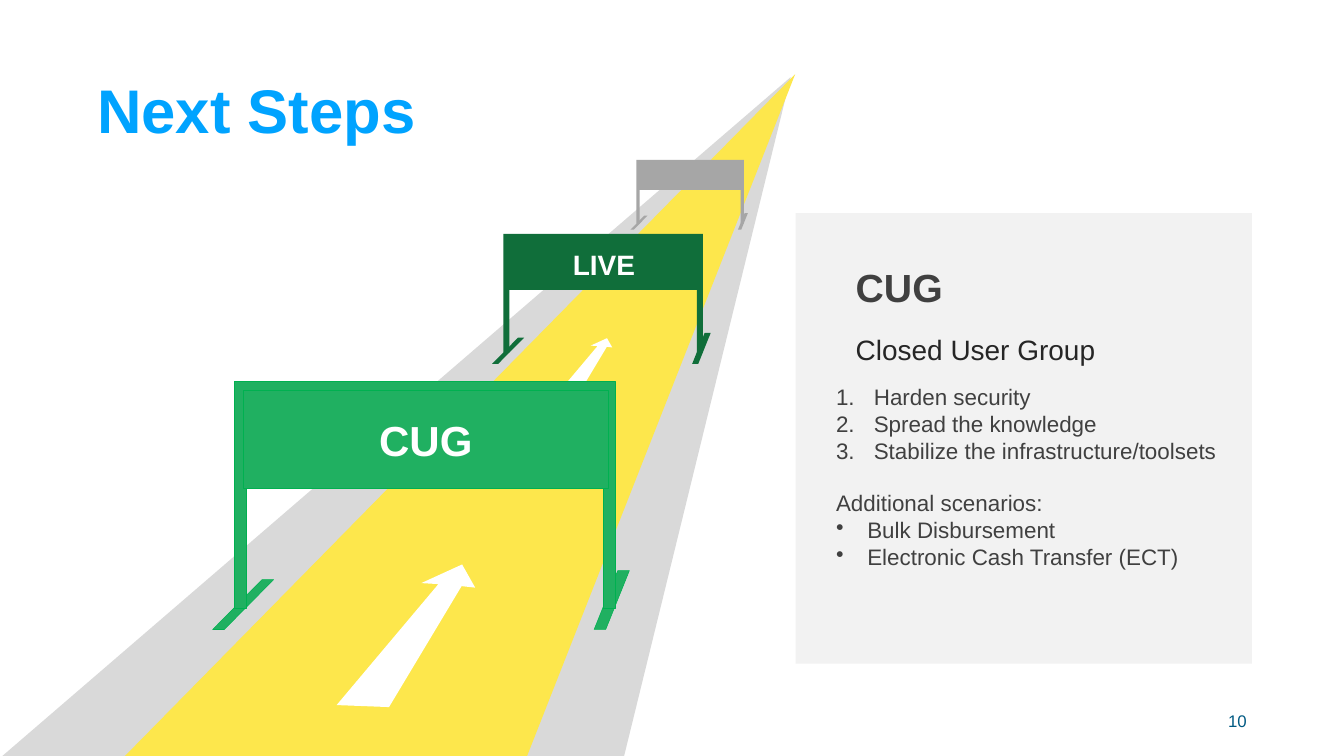
from lxml import etree
from pptx import Presentation
from pptx.dml.color import RGBColor
from pptx.enum.shapes import MSO_SHAPE
from pptx.enum.text import MSO_ANCHOR, PP_ALIGN
from pptx.oxml.ns import qn
from pptx.util import Inches, Pt

RECT = MSO_SHAPE.RECTANGLE
MIDDLE, TOP = MSO_ANCHOR.MIDDLE, MSO_ANCHOR.TOP
LEFT, CENTER, RIGHT = PP_ALIGN.LEFT, PP_ALIGN.CENTER, PP_ALIGN.RIGHT

FONT = "Arial"
COLORS = {
    "title": "00A3FF", "number": "005A83", "white": "FFFFFF",
    "verge": "D9D9D9", "road": "FDE74C", "panel": "F2F2F2",
    "near": "20B061", "edge": "00B050", "mid": "106E3A", "far": "A6A6A6",
    "body": "404040", "dark": "262626",
}

# Outlines in inches, relative to the top left of their box
ARROW = [(0, 2.79), (2.02, 0.39), (1.68, 0.37), (2.49, 0),
         (2.75, 0.46), (2.48, 0.43), (1.04, 2.83)]
GATE = 7.55  # width at which the gate outlines are given
FEET = [
    [(7.61, 3.75), (7.84, 3.75), (7.37, 4.92), (7.14, 4.92)],
    [(0.55, 3.93), (0.78, 3.93), (-0.2, 4.92), (-0.43, 4.92)],
]
FRAME = [(0, 0), (7.55, 0), (7.55, 4.49), (7.32, 4.49), (7.32, 0.23),
         (0.23, 0.23), (0.23, 4.49), (0, 4.49)]


def rgb(name):
    return RGBColor.from_string(COLORS[name])


def paint(shape, fill, edge=None):
    shape.shadow.inherit = False
    shape.fill.solid()
    shape.fill.fore_color.rgb = rgb(fill)
    if edge:
        shape.line.color.rgb = rgb(edge)
        shape.line.width = Pt(0)
    else:
        shape.line.fill.background()


def outline(slide, points, fill, edge=None, left=0, top=0, scale=1):
    spots = [(Inches(left + x * scale), Inches(top + y * scale))
             for x, y in points]
    pen = slide.shapes.build_freeform(*spots[0], scale=1.0)
    pen.add_line_segments(spots[1:], close=True)
    paint(pen.convert_to_shape(), fill, edge)


def block(slide, left, top, width, height, fill, edge=None):
    shape = slide.shapes.add_shape(
        RECT, Inches(left), Inches(top), Inches(width), Inches(height))
    paint(shape, fill, edge)
    return shape


def write(para, text, size, color, bold=False, align=LEFT):
    para.alignment = align
    run = para.add_run()
    run.text = text
    font = run.font
    font.name, font.size, font.bold = FONT, Pt(size), bold
    font.color.rgb = rgb(color)


def text_box(slide, left, top, width, height, anchor=TOP, side=0):
    box = slide.shapes.add_textbox(
        Inches(left), Inches(top), Inches(width), Inches(height))
    frame = box.text_frame
    frame.word_wrap = True
    frame.vertical_anchor = anchor
    frame.margin_left = frame.margin_right = Inches(side)
    return frame


def mark(para, tag, key, value, indent):
    props = para._p.get_or_add_pPr()
    props.set("marL", str(Inches(indent)))
    props.set("indent", str(-Inches(indent)))
    etree.SubElement(props, qn(tag)).set(key, value)


def add_title(slide, left, top, width, height):
    title = slide.shapes.title
    title.left, title.top = Inches(left), Inches(top)
    title.width, title.height = Inches(width), Inches(height)
    title.text_frame.vertical_anchor = MIDDLE
    para = title.text_frame.paragraphs[0]
    para.line_spacing = 0.9
    write(para, "Next Steps", 88, "title", True)


def add_road(slide, left, top):
    outline(slide, [(0, 13.57), (15.69, 0.06), (12.38, 13.55)],
            "verge", left=left, top=top)
    outline(slide, [(15.78, 0), (10.44, 13.58), (2.43, 13.58)],
            "road", left=left, top=top)
    for x, y, scale in [(6.68, 9.73, 1), (11.05, 5.24, 0.4)]:
        outline(slide, ARROW, "white", left=left + x, top=top + y, scale=scale)


def add_gate(slide, left, top, width, fill, edge=None, label="", size=0):
    scale = width / GATE
    for part in FEET + [FRAME]:
        outline(slide, part, fill, edge, left, top, scale)
    inset = 0.17 * scale
    sign = block(slide, left + inset, top + inset,
                 7.26 * scale, 1.95 * scale, fill, edge)
    if label:
        sign.text_frame.vertical_anchor = MIDDLE
        write(sign.text_frame.paragraphs[0], label, size, "white", True, CENTER)


def add_panel(slide, left, top, width, height):
    block(slide, left, top, width, height, "panel")

    # Headings
    head = text_box(slide, left + 1.19, top + 0.94, 6.6, 1.04)
    write(head.paragraphs[0], "CUG", 56, "body", True)
    sub = text_box(slide, left + 1.19, top + 2.31, 6.6, 0.77)
    write(sub.paragraphs[0], "Closed User Group", 40, "dark")

    # Numbered steps, then bulleted scenarios
    number = ("a:buAutoNum", "type", "arabicPeriod", 0.75)
    bullet = ("a:buChar", "char", "•", 0.62)
    rows = [
        ("Harden security", number),
        ("Spread the knowledge", number),
        ("Stabilize the infrastructure/toolsets", number),
        ("Additional scenarios:", None),
        ("Bulk Disbursement", bullet),
        ("Electronic Cash Transfer (ECT)", bullet),
    ]
    body = text_box(slide, left + 0.8, top + 3.32, 7.82, 4.41)
    for i, (text, sort) in enumerate(rows):
        para = body.add_paragraph() if i else body.paragraphs[0]
        if sort:
            mark(para, *sort)
        else:
            para.space_before = Pt(37)
        para.font.size = Pt(32)
        write(para, text, 32, "body")


def add_number(slide, left, top, width, height):
    frame = text_box(slide, left, top, width, height, MIDDLE, 0.1)
    write(frame.paragraphs[0], "10", 24, "number", align=RIGHT)


def main():
    deck = Presentation()
    deck.slide_width, deck.slide_height = Inches(26.67), Inches(15)
    slide = deck.slides.add_slide(deck.slide_layouts[5])

    add_title(slide, 1.83, 0.8, 20.64, 2.9)
    add_road(slide, 0, 1.47)
    add_gate(slide, 9.99, 4.64, 3.96, "mid", label="LIVE", size=40)
    add_gate(slide, 12.63, 3.17, 2.13, "far")
    add_gate(slide, 4.65, 7.57, GATE, "near", "edge", "CUG", 60)
    add_panel(slide, 15.79, 4.23, 9.05, 8.94)
    add_number(slide, 18.84, 13.9, 6, 0.8)

    deck.save("out.pptx")


if __name__ == "__main__":
    main()
